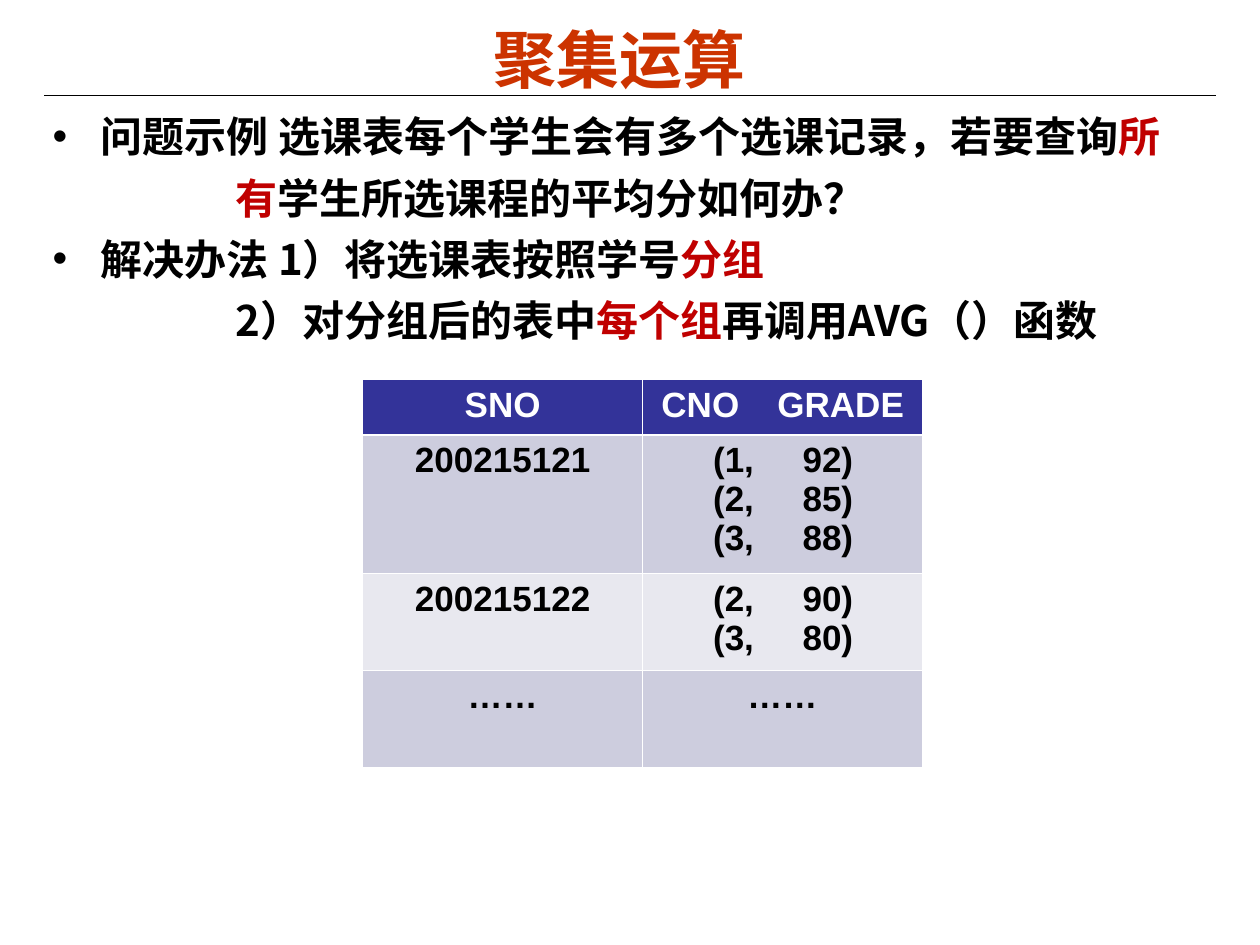
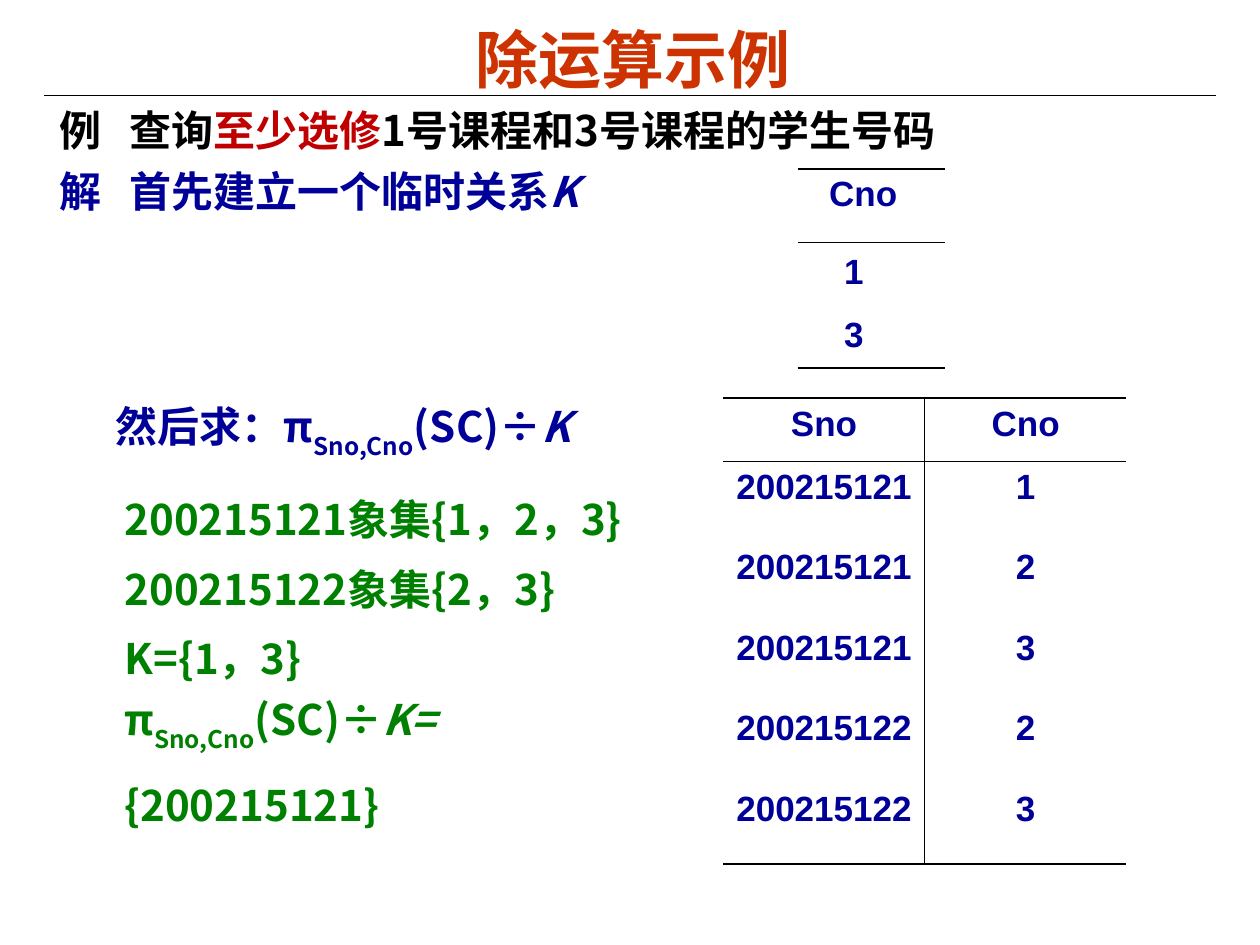
from lxml.etree import SubElement
from pptx import Presentation
from pptx.dml.color import RGBColor
from pptx.enum.shapes import MSO_CONNECTOR
from pptx.enum.text import MSO_ANCHOR, MSO_AUTO_SIZE, PP_ALIGN
from pptx.oxml.ns import qn
from pptx.util import Inches, Pt

BLACK = RGBColor(0, 0, 0)
WHITE = RGBColor(255, 255, 255)
ORANGE = RGBColor(0xCC, 0x33, 0x00)
RED = RGBColor(0xC0, 0x00, 0x00)
NAVY = RGBColor(0x00, 0x00, 0x99)
GREEN = RGBColor(0x00, 0x80, 0x00)
HEADER_FILL = RGBColor(0x33, 0x33, 0x99)
DARK_BAND = RGBColor(0xCD, 0xCD, 0xDE)
LIGHT_BAND = RGBColor(0xE8, 0xE8, 0xEF)
CJK_FONT = "Noto Sans CJK SC"
TABLE_FONT = "Arial"
THIN, MEDIUM, HEAVY = 0.5, 1.5, 1


def write(para, spans, color, size=24, font=CJK_FONT, bullet=False, tab=None):
    """Fill a paragraph with plain strings or (text, color, style) spans."""
    properties = para._p.get_or_add_pPr()
    if bullet:
        SubElement(properties, qn("a:buFont"), typeface="Arial")
        SubElement(properties, qn("a:buChar"), char="•")
    if tab:
        tabs = SubElement(properties, qn("a:tabLst"))
        SubElement(tabs, qn("a:tab"), pos=str(Inches(tab)), algn="l")
    para.font.name = font
    para.font.size = Pt(size)
    para.font.bold = True
    para.font.color.rgb = color
    SubElement(properties.find(qn("a:defRPr")), qn("a:ea"), typeface=font)
    for span in spans:
        text, span_color, style = (span, color, "") if isinstance(span, str) else span
        run = para.add_run()
        run.text = text
        if span_color != color:
            run.font.color.rgb = span_color
        if style == "italic":
            run.font.italic = True
        if style == "subscript":
            run._r.get_or_add_rPr().set("baseline", "-30000")


def fill_cell(cell, lines, color, borders, fill=None, left=0.1, top=0.05, tab=None, centered=True):
    """Write a table cell; borders maps a side (L, R, T, B) to (color, width)."""
    cell.margin_left, cell.margin_top = Inches(left), Inches(top)
    properties = cell._tc.get_or_add_tcPr()
    for side in "LRTB":
        line_color, width = borders.get(side, (None, 0))
        line = SubElement(properties, qn(f"a:ln{side}"), w=str(Pt(width)))
        if line_color is None:
            SubElement(line, qn("a:noFill"))
        else:
            solid = SubElement(line, qn("a:solidFill"))
            SubElement(solid, qn("a:srgbClr"), val=str(line_color))
    if fill is None:
        cell.fill.background()
    else:
        cell.fill.solid()
        cell.fill.fore_color.rgb = fill
    for index, line in enumerate(lines):
        para = cell.text_frame.paragraphs[0] if index == 0 else cell.text_frame.add_paragraph()
        para.alignment = PP_ALIGN.CENTER if centered else PP_ALIGN.LEFT
        write(para, [line], color, 20, TABLE_FONT, tab=tab)


deck = Presentation()
deck.slide_width, deck.slide_height = Inches(10), Inches(7.5)

# Titles and the rule below them
pages = []
for title_text, title_left in (("聚集运算 ", 0.47), ("除运算示例", 0.52)):
    page = deck.slides.add_slide(deck.slide_layouts[5])
    pages.append(page)
    title = page.shapes.title
    title.left, title.top = Inches(title_left), Inches(0.16)
    title.width, title.height = Inches(9), Inches(0.61)
    title.text_frame.auto_size = MSO_AUTO_SIZE.NONE
    title.text_frame.vertical_anchor = MSO_ANCHOR.MIDDLE
    title_para = title.text_frame.paragraphs[0]
    title_para.alignment = PP_ALIGN.CENTER
    write(title_para, [title_text], ORANGE, 36)
    rule = page.shapes.add_connector(
        MSO_CONNECTOR.STRAIGHT, Inches(0.35), Inches(0.76), Inches(9.65), Inches(0.76))
    rule.line.color.rgb = BLACK
    rule.line.width = Pt(0.75)
    SubElement(rule._element.spPr, qn("a:effectLst"))
aggregate_page, division_page = pages

# Text boxes: paragraphs are (spans, color, left margin, first-line indent, bullet, space before)
problem = [
    (["问题示例 选课表每个学生会有多个选课记录，若要查询", ("所", RED, "")], BLACK, 0.38, -0.38, True, 6),
    ([("有", RED, ""), "学生所选课程的平均分如何办？"], BLACK, 1.45, 0, False, 6),
    (["解决办法 1）将选课表按照学号", ("分组", RED, "")], BLACK, 0.38, -0.38, True, 6),
    (["2）对分组后的表中", ("每个组", RED, ""), "再调用AVG（）函数"], BLACK, 1.45, 0, False, 6),
]
question = [
    (["例\t查询", ("至少选修", RED, ""), "1号课程和3号课程的学生号码"], BLACK, 0.56, -0.56, False, 6),
    (["解\t首先建立一个临时关系", ("K", NAVY, "italic")], NAVY, 0.56, -0.56, False, 6),
]
next_step = [
    (["然后求：π", ("Sno,Cno", NAVY, "subscript"), "(SC)÷", ("K", NAVY, "italic")], NAVY, 0, 0, False, 6),
]
image_sets = [
    (["200215121象集{1，2，3}"], GREEN, 0, 0.07, False, 6),
    (["200215122象集{2，3}"], GREEN, 0, 0.07, False, 6),
    (["K={1，3}"], GREEN, 0, 0.07, False, 6),
    (["π", ("Sno,Cno", GREEN, "subscript"), "(SC)÷", ("K=", GREEN, "italic")], GREEN, 0, 0.07, False, 6),
    (["{200215121}"], GREEN, 0, 0.07, False, 10),
]
for page, area, line_pitch, paragraphs in (
    (aggregate_page, (0.32, 0.83, 9.35, 1.97), 28.9, problem),
    (division_page, (0.37, 0.78, 9.25, 1.1), 28.9, question),
    (division_page, (0.82, 3.2, 4.61, 0.6), 28.9, next_step),
    (division_page, (0.82, 3.8, 4.61, 2.9), 33.8, image_sets),
):
    box = page.shapes.add_textbox(*map(Inches, area))
    box.text_frame.word_wrap = True
    for index, (spans, color, margin, indent, bullet, gap) in enumerate(paragraphs):
        para = box.text_frame.paragraphs[0] if index == 0 else box.text_frame.add_paragraph()
        para.line_spacing = Pt(line_pitch)
        para.space_before = Pt(gap if index else 0)
        para._p.get_or_add_pPr().set("marL", str(Inches(margin)))
        para._p.get_or_add_pPr().set("indent", str(Inches(indent)))
        write(para, spans, color, bullet=bullet)

# Empty tables with their column widths and row heights
tables = []
for page, left, top, widths, heights in (
    (aggregate_page, 2.88, 3.01, [2.22] * 2, [0.44, 1.1, 0.77, 0.77]),
    (division_page, 6.33, 1.34, [1.17], [0.58, 0.5, 0.5]),
    (division_page, 5.74, 3.16, [1.6] * 2, [0.5] + [0.64] * 5),
):
    table = page.shapes.add_table(
        len(heights), len(widths), Inches(left), Inches(top),
        Inches(sum(widths)), Inches(sum(heights))).table
    table.first_row = table.horz_banding = False
    for column, width in zip(table.columns, widths):
        column.width = Inches(width)
    for row, height in zip(table.rows, heights):
        row.height = Inches(height)
    tables.append(table)
group_table, k_table, sc_table = tables

# Selections grouped by student
groups = [
    ("SNO", ["CNO\tGRADE"]),
    ("200215121", ["(1,\t92)", "(2,\t85)", "(3,\t88)"]),
    ("200215122", ["(2,\t90)", "(3,\t80)"]),
    ("……", ["……"]),
]
for row, (student, grades) in enumerate(groups):
    color = BLACK if row else WHITE
    fill = (LIGHT_BAND, DARK_BAND)[row % 2] if row else HEADER_FILL
    borders = {side: (WHITE, THIN) for side in "LRTB"}
    if row < 2:
        borders["T" if row else "B"] = (WHITE, MEDIUM)
    left, tab = (0.56, 0.71) if row else (0.15, 0.92)
    fill_cell(group_table.cell(row, 0), [student], color, borders, fill)
    if "\t" in grades[0]:
        fill_cell(group_table.cell(row, 1), grades, color, borders, fill, left, tab=tab, centered=False)
    else:
        fill_cell(group_table.cell(row, 1), grades, color, borders, fill)

# Temporary relation K and the projection of SC, ruled at top, header and bottom
k_rows = [["Cno"], ["1"], ["3"]]
sc_rows = [["Sno", "Cno"], ["200215121", "1"], ["200215121", "2"], ["200215121", "3"],
           ["200215122", "2"], ["200215122", "3"]]
for table, rows in ((k_table, k_rows), (sc_table, sc_rows)):
    for row, values in enumerate(rows):
        for column, value in enumerate(values):
            borders = {}
            if row < 2:
                borders["T"] = (BLACK, THIN if row else HEAVY)
            if row == 0:
                borders["B"] = (BLACK, THIN)
            if row == len(rows) - 1:
                borders["B"] = (BLACK, HEAVY)
            if len(values) == 2:
                borders["L" if column else "R"] = (BLACK, THIN)
            if table is k_table:
                left, top = (0.37, 0.09) if row else (0.25, 0.05)
                fill_cell(table.cell(row, column), [value], NAVY, borders, left=left, top=top, centered=False)
            else:
                fill_cell(table.cell(row, column), [value], NAVY, borders)

deck.save("out.pptx")
